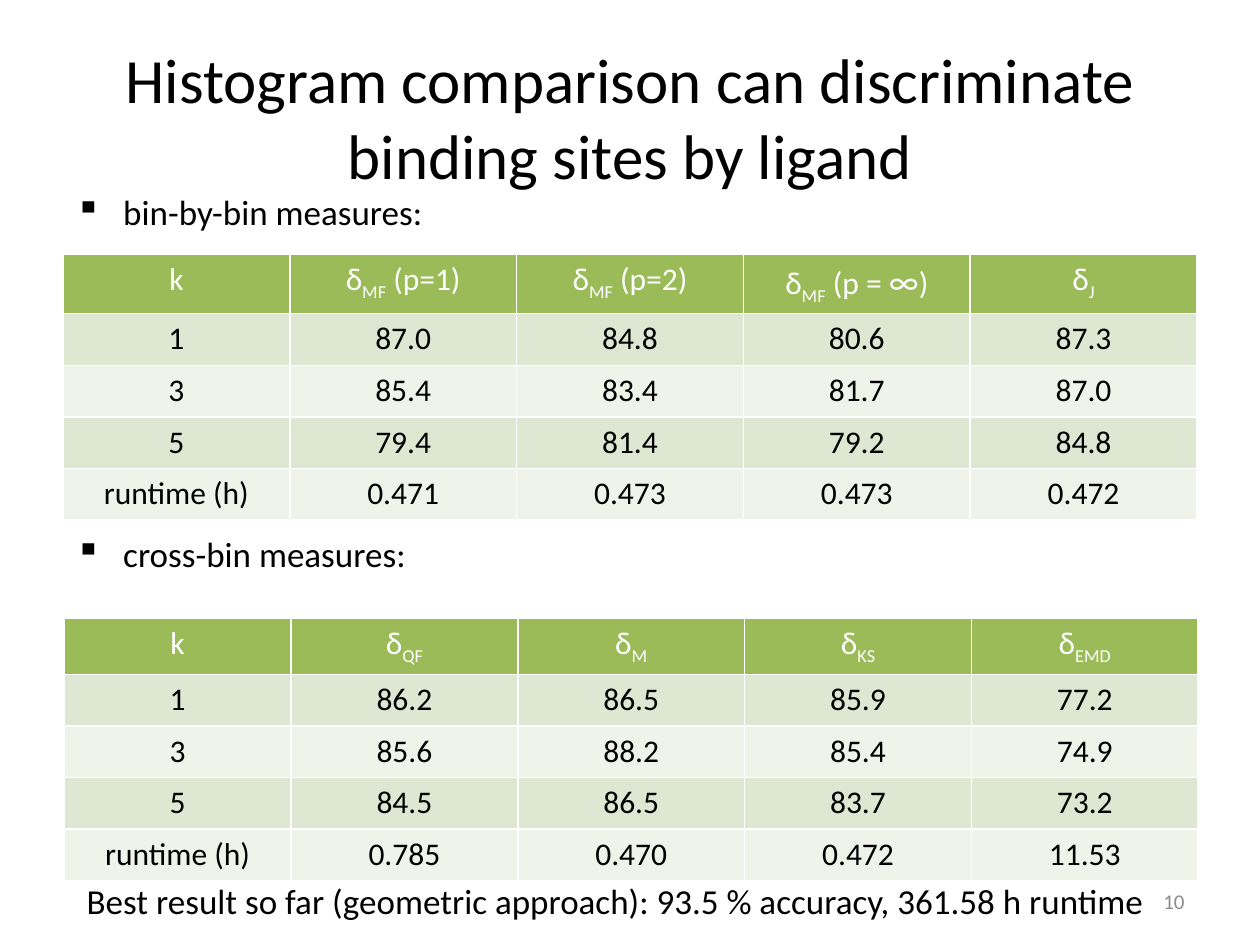
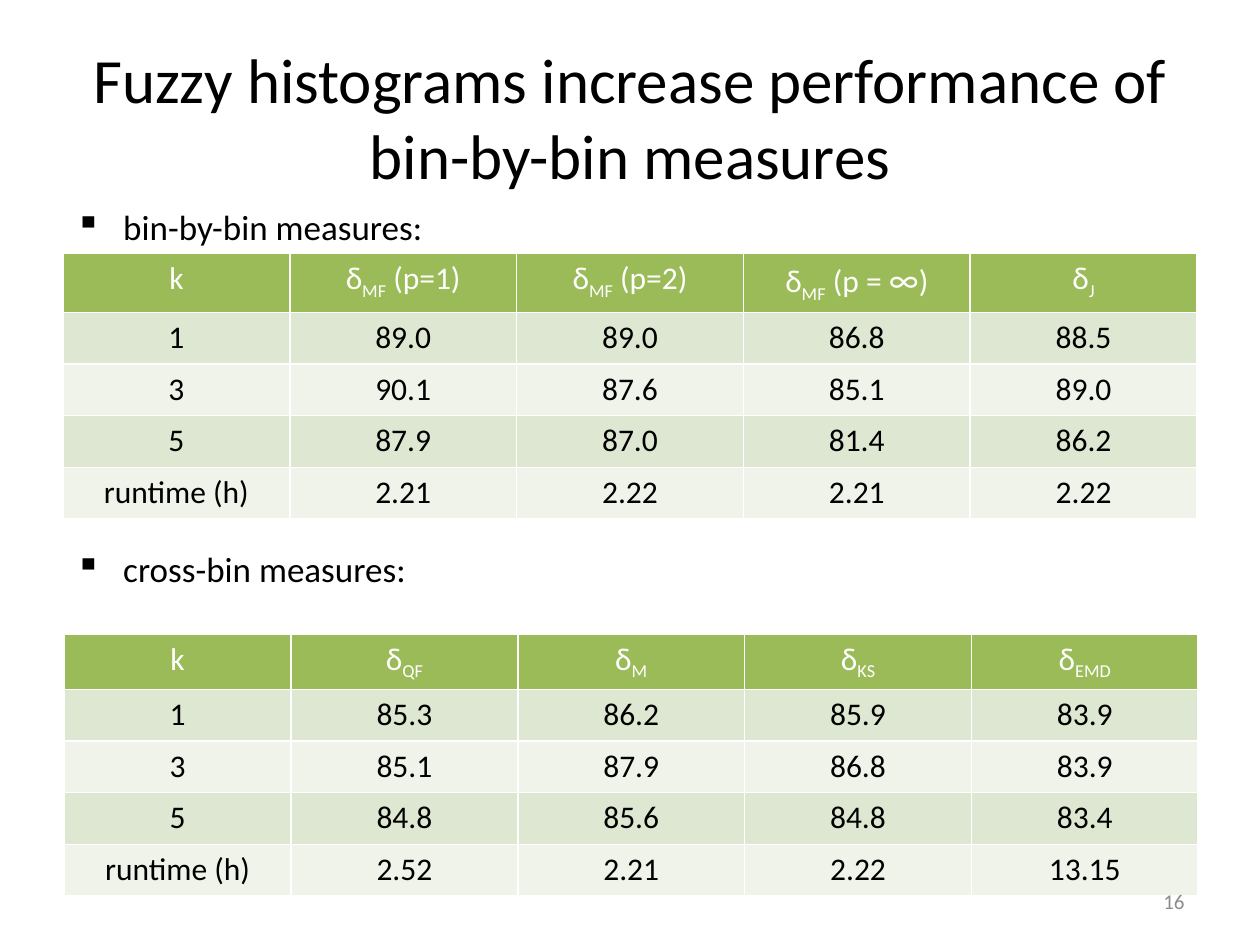
from lxml import etree
from pptx import Presentation
from pptx.dml.color import RGBColor
from pptx.enum.text import MSO_ANCHOR, PP_ALIGN
from pptx.oxml.ns import qn
from pptx.util import Inches, Pt

LEFT, CENTER, RIGHT = PP_ALIGN.LEFT, PP_ALIGN.CENTER, PP_ALIGN.RIGHT
TOP, MIDDLE = MSO_ANCHOR.TOP, MSO_ANCHOR.MIDDLE
FONT = "Calibri"
COLORS = {
    "ink": "000000",
    "white": "FFFFFF",
    "gray": "8C8C8C",
    "head": "9BBB59",
    "dark": "DEE7D1",
    "light": "EFF3EA",
}
ROW = 0.41
WIDTH = 9
INDENT = 0.38
KEYS = ["1", "3", "5", "runtime (h)"]
MF = [("δ", {}), ("MF", {"sub": True})]


def delta(sub):
    return [("δ", {}), (sub, {"sub": True})]


BIN_HEADS = [
    "k",
    MF + [(" (p=1)", {})],
    MF + [(" (p=2)", {})],
    MF + [(" (p = ", {}), ("∞", {"size": 20}), (")", {})],
    delta("J"),
]
CROSS_HEADS = ["k"] + [delta(sub) for sub in ("QF", "M", "KS", "EMD")]

SLIDES = [
    {
        "title": "Histogram comparison can discriminate binding sites by ligand",
        "page": "10",
        "label_top": 1.46,
        "bin_top": 2.02,
        "cross_top": 4.91,
        "bin": [
            ["87.0", "84.8", "80.6", "87.3"],
            ["85.4", "83.4", "81.7", "87.0"],
            ["79.4", "81.4", "79.2", "84.8"],
            ["0.471", "0.473", "0.473", "0.472"],
        ],
        "cross": [
            ["86.2", "86.5", "85.9", "77.2"],
            ["85.6", "88.2", "85.4", "74.9"],
            ["84.5", "86.5", "83.7", "73.2"],
            ["0.785", "0.470", "0.472", "11.53"],
        ],
        "note": "Best result so far (geometric approach): 93.5 % accuracy, 361.58 h runtime",
    },
    {
        "title": "Fuzzy histograms increase performance of bin-by-bin measures",
        "page": "16",
        "label_top": 1.58,
        "bin_top": 2.01,
        "cross_top": 5.03,
        "bin": [
            ["89.0", "89.0", "86.8", "88.5"],
            ["90.1", "87.6", "85.1", "89.0"],
            ["87.9", "87.0", "81.4", "86.2"],
            ["2.21", "2.22", "2.21", "2.22"],
        ],
        "cross": [
            ["85.3", "86.2", "85.9", "83.9"],
            ["85.1", "87.9", "86.8", "83.9"],
            ["84.8", "85.6", "84.8", "83.4"],
            ["2.52", "2.21", "2.22", "13.15"],
        ],
    },
]


def write(para, text, size=20, color="ink", align=LEFT, before=0):
    para.alignment = align
    para.space_before = Pt(before)
    parts = [(text, {})] if isinstance(text, str) else text
    for words, style in parts:
        run = para.add_run()
        run.text = words
        font = run.font
        font.name = FONT
        font.size = Pt(style.get("size", size))
        font.bold = False
        font.color.rgb = RGBColor.from_string(COLORS[color])
        if style.get("sub"):
            run._r.get_or_add_rPr().set("baseline", "-25000")


def add_box(slide, left, top, width, height, anchor=TOP, wrap=True):
    box = slide.shapes.add_textbox(
        Inches(left), Inches(top), Inches(width), Inches(height))
    frame = box.text_frame
    frame.word_wrap = wrap
    frame.vertical_anchor = anchor
    return frame


def add_title(slide, text):
    title = slide.shapes.title
    title.left, title.top = Inches(0.5), Inches(0.3)
    title.width, title.height = Inches(WIDTH), Inches(1.25)
    title.text_frame.vertical_anchor = MIDDLE
    write(title.text_frame.paragraphs[0], text, size=36, align=CENTER)


def add_bullet(para):
    props = para._p.get_or_add_pPr()
    props.set("marL", str(Inches(INDENT)))
    props.set("indent", str(-Inches(INDENT)))
    etree.SubElement(props, qn("a:buChar")).set("char", "▪")


def add_labels(slide, top):
    frame = add_box(slide, 0.5, top, WIDTH, 5.37)
    first, second = frame.paragraphs[0], frame.add_paragraph()
    for para, kind, before in ((first, "bin-by-bin", 0), (second, "cross-bin", 171.6)):
        add_bullet(para)
        write(para, f"{kind} measures:", before=before)


def add_grid(slide, left, top, heads, values):
    rows = [heads] + [[key] + line for key, line in zip(KEYS, values)]
    table = slide.shapes.add_table(
        len(rows), len(heads), Inches(left), Inches(top),
        Inches(WIDTH), Inches(ROW * len(rows))).table
    for r, row in enumerate(rows):
        fill = "head" if r == 0 else ("light", "dark")[r % 2]
        for c, text in enumerate(row):
            cell = table.cell(r, c)
            cell.fill.solid()
            cell.fill.fore_color.rgb = RGBColor.from_string(COLORS[fill])
            write(cell.text_frame.paragraphs[0], text, size=18,
                  color="ink" if r else "white", align=CENTER)


def add_page(slide, number):
    frame = add_box(slide, 7.17, 6.95, 2.33, 0.4, anchor=MIDDLE)
    write(frame.paragraphs[0], number, size=12, color="gray", align=RIGHT)


def add_note(slide, text):
    frame = add_box(slide, 0.59, 6.93, 8.74, 0.44, wrap=False)
    write(frame.paragraphs[0], text)


def main():
    deck = Presentation()
    deck.slide_width, deck.slide_height = Inches(10), Inches(7.5)
    for data in SLIDES:
        slide = deck.slides.add_slide(deck.slide_layouts[5])
        add_title(slide, data["title"])
        add_labels(slide, data["label_top"])
        add_grid(slide, 0.5, data["bin_top"], BIN_HEADS, data["bin"])
        add_grid(slide, 0.51, data["cross_top"], CROSS_HEADS, data["cross"])
        add_page(slide, data["page"])
        if "note" in data:
            add_note(slide, data["note"])
    deck.save("out.pptx")


if __name__ == "__main__":
    main()
